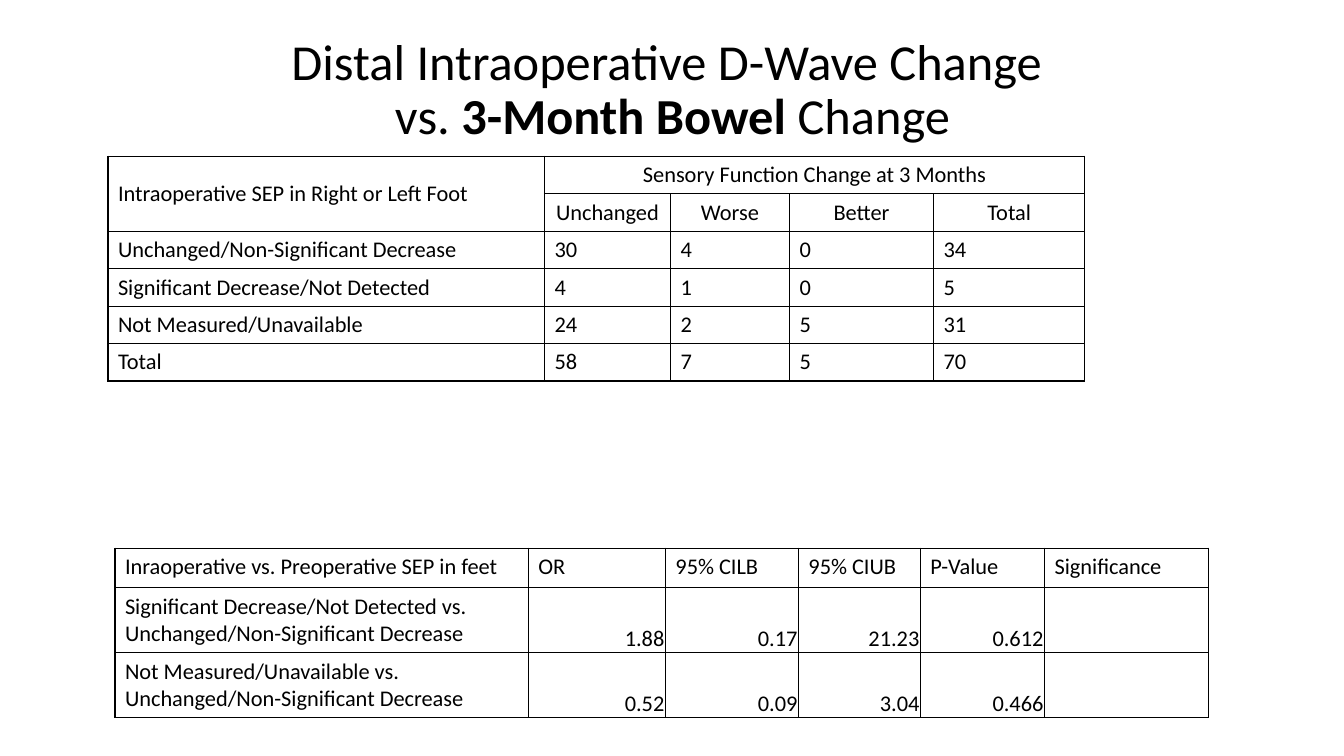
from dataclasses import dataclass
from lxml import etree
from pptx import Presentation
from pptx import util as u
from pptx.dml.color import RGBColor
from pptx.enum import text
from pptx.oxml.ns import qn


@dataclass(frozen=True)
class Theme:
    font: str = "Calibri"
    ink: str = "000000"
    head: int = 36
    body: int = 16
    rule: int = 1


@dataclass(frozen=True)
class Grid:
    """A table; lengths are percentages of the slide's width or height."""
    left: float
    top: float
    cols: list[float]
    rows: list[float]
    cells: list[list[str]]


THEME = Theme()
WIDE, HIGH = u.Inches(13.33), u.Inches(7.5)
PLAIN = {}
MID = {"vertical_anchor": text.MSO_ANCHOR.MIDDLE}
EDGE = u.Inches(0.01)
VALUE = {"vertical_anchor": text.MSO_ANCHOR.BOTTOM, "margin_left": EDGE,
         "margin_right": EDGE, "margin_top": EDGE, "margin_bottom": 0}

COUNTS = Grid(8.03, 20.67, [32.48, 9.38, 8.85, 10.73, 11.25], [4.96] * 6, [
    ["Intraoperative SEP in Right or Left Foot",
     "Sensory Function Change at 3 Months", "", "", ""],
    ["", "Unchanged", "Worse", "Better", "Total"],
    ["Unchanged/Non-Significant Decrease", "30", "4", "0", "34"],
    ["Significant Decrease/Not Detected", "4", "1", "0", "5"],
    ["Not Measured/Unavailable", "24", "2", "5", "31"],
    ["Total", "58", "7", "5", "70"],
])
ODDS = Grid(8.55, 72.53, [30.76, 10.2, 9.9, 9.08, 9.23, 12.23], [5.2, 8.6, 8.6], [
    ["Inraoperative vs. Preoperative SEP in feet", "OR", "95% CILB",
     "95% CIUB", "P-Value", "Significance"],
    ["Significant Decrease/Not Detected vs. Unchanged/Non-Significant Decrease",
     "1.88", "0.17", "21.23", "0.612", ""],
    ["Not Measured/Unavailable vs. Unchanged/Non-Significant Decrease",
     "0.52", "0.09", "3.04", "0.466", ""],
])


def across(share: float) -> int:
    return round(WIDE * share / 100)


def down(share: float) -> int:
    return round(HIGH * share / 100)


def apply(item, form: dict) -> None:
    for name, value in form.items():
        setattr(item, name, value)


def write(para, words: str, size: int, bold: bool = False) -> None:
    run = para.add_run()
    run.text = words
    apply(run.font, {"name": THEME.font, "size": u.Pt(size), "bold": bold})
    run.font.color.rgb = RGBColor.from_string(THEME.ink)


def border(cell) -> None:
    props = cell._tc.get_or_add_tcPr()
    for side in ("a:lnL", "a:lnR", "a:lnT", "a:lnB"):
        line = etree.SubElement(props, qn(side), w=str(u.Pt(THEME.rule)))
        fill = etree.SubElement(line, qn("a:solidFill"))
        etree.SubElement(fill, qn("a:srgbClr"), val=THEME.ink)


def draw_title(slide) -> None:
    box = slide.shapes.add_textbox(across(6.9), down(3.87), across(86.27), down(16.4))
    frame = box.text_frame
    apply(frame, {"word_wrap": True, **MID})
    para = frame.paragraphs[0]
    apply(para, {"alignment": text.PP_ALIGN.CENTER, "line_spacing": 0.9})
    write(para, "Distal Intraoperative D-Wave Change ", THEME.head)
    para.add_line_break()
    write(para, "vs. ", THEME.head)
    write(para, "3-Month Bowel ", THEME.head, True)
    write(para, "Change", THEME.head)


def draw_grid(slide, grid: Grid, style):
    """Draw a table; style gives each cell's alignment and format."""
    table = slide.shapes.add_table(
        len(grid.rows), len(grid.cols), across(grid.left), down(grid.top),
        across(sum(grid.cols)), down(sum(grid.rows))).table
    apply(table, {"first_row": False, "horz_banding": False})
    for col, share in zip(table.columns, grid.cols):
        col.width = across(share)
    for row, share in zip(table.rows, grid.rows):
        row.height = down(share)
    for r, line in enumerate(grid.cells):
        for c, words in enumerate(line):
            cell = table.cell(r, c)
            border(cell)
            cell.fill.background()
            align, form = style(r, c)
            apply(cell, form)
            para = cell.text_frame.paragraphs[0]
            para.alignment = align
            if words:
                write(para, words, THEME.body)
            else:
                para.font.size = u.Pt(THEME.body)
    return table


def count_style(r: int, c: int):
    align = text.PP_ALIGN.CENTER if r < 2 and c else text.PP_ALIGN.LEFT
    return align, MID if r == 0 else PLAIN


def odds_style(r: int, c: int):
    if r and 0 < c < 5:
        return text.PP_ALIGN.RIGHT, VALUE
    return text.PP_ALIGN.LEFT, PLAIN


def main() -> None:
    deck = Presentation()
    apply(deck, {"slide_width": WIDE, "slide_height": HIGH})
    slide = deck.slides.add_slide(deck.slide_layouts[6])
    draw_title(slide)
    # Patient counts, with a two-row header
    table = draw_grid(slide, COUNTS, count_style)
    table.cell(0, 0).merge(table.cell(1, 0))
    table.cell(0, 1).merge(table.cell(0, 4))
    # Odds ratios
    draw_grid(slide, ODDS, odds_style)
    deck.save("out.pptx")


if __name__ == "__main__":
    main()
